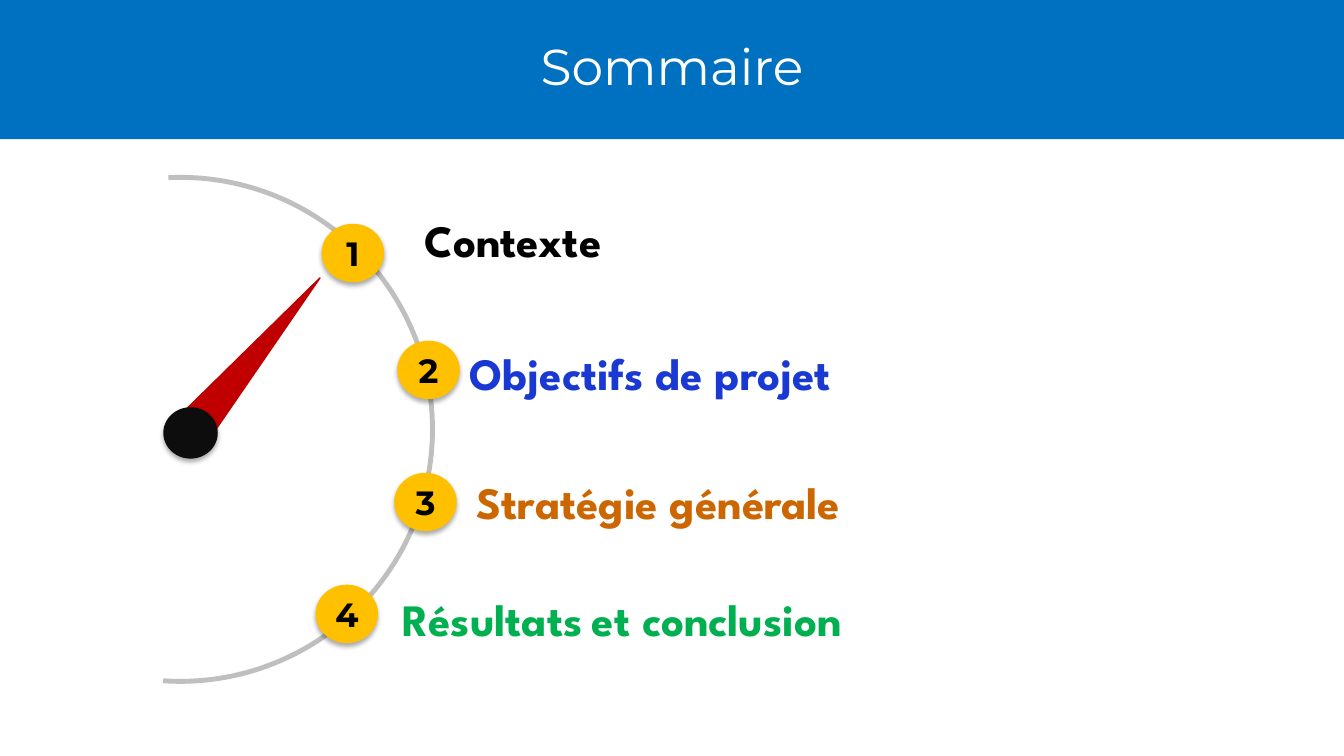
from lxml.etree import SubElement
from pptx import Presentation
from pptx.dml.color import RGBColor
from pptx.enum.shapes import MSO_SHAPE
from pptx.enum.text import MSO_ANCHOR, MSO_AUTO_SIZE, PP_ALIGN
from pptx.oxml.ns import qn
from pptx.util import Inches, Pt

WIDTH, HEIGHT = 13.33, 7.5
HEADING_FONT, LABEL_FONT = "Montserrat", "League Spartan"
BEAD_WIDTH, BEAD_HEIGHT = 0.62, 0.58

# Bead centre from the dial centre, label corner from the bead centre, runs
TOPICS = [
    ((1.71, -1.75), (0.61, -0.45), [("Contexte", 32, "000000")]),
    ((2.46, -0.59), (0.31, -0.29), [("Objectifs de projet", 32, "1A39D2")]),
    ((2.43, 0.72), (0.41, -0.32), [("Stratégie générale", 32, "CC6600")]),
    ((1.65, 1.83), (0.45, -0.27), [("Résultats", 32, "00B050"),
                                   (" ", 24, "000000"),
                                   ("et conclusion", 32, "00B050")]),
]
LABEL_WIDTHS = [2.16, 4.22, 4.24, 5.24]


def color(hex_value):
    return RGBColor.from_string(hex_value)


def add_filled(slide, kind, left, top, width, height, fill):
    shape = slide.shapes.add_shape(
        kind, Inches(left), Inches(top), Inches(width), Inches(height))
    shape.shadow.inherit = False
    shape.fill.solid()
    shape.fill.fore_color.rgb = color(fill)
    shape.line.fill.background()
    return shape


def add_run(paragraph, text, size, hex_value, font, bold=False):
    run = paragraph.add_run()
    run.text = text
    run.font.name = font
    run.font.size = Pt(size)
    run.font.bold = bold
    run.font.color.rgb = color(hex_value)


def add_centred_text(shape, text, size, hex_value, bold=False):
    shape.text_frame.vertical_anchor = MSO_ANCHOR.MIDDLE
    paragraph = shape.text_frame.paragraphs[0]
    paragraph.alignment = PP_ALIGN.CENTER
    add_run(paragraph, text, size, hex_value, HEADING_FONT, bold)
    return paragraph


def add_disc(slide, center_x, center_y, width, height, fill):
    """Ellipse around a centre, with a soft shadow below it."""
    disc = add_filled(slide, MSO_SHAPE.OVAL, center_x - width / 2,
                      center_y - height / 2, width, height, fill)
    effects = disc.element.spPr.find(qn("a:effectLst"))
    shadow = SubElement(effects, qn("a:outerShdw"), blurRad=str(Pt(3.5)),
                        dist=str(Pt(2.2)), dir="5400000", rotWithShape="0")
    black = SubElement(shadow, qn("a:srgbClr"), val="000000")
    SubElement(black, qn("a:alpha"), val="32000")
    return disc


def add_header(slide, left, top, width, height):
    band = add_filled(slide, MSO_SHAPE.RECTANGLE, left, top, width, height, "0070C0")
    add_centred_text(band, "Sommaire", 36, "FFFFFF").line_spacing = 0.9


def add_dial(slide, left, top, diameter):
    center_x, center_y = left + diameter / 2, top + diameter / 2

    # Needle and hub
    needle = add_filled(slide, MSO_SHAPE.ISOSCELES_TRIANGLE, center_x + 0.54,
                        center_y - 1.74, 0.39, 2.02, "C00000")
    needle.line.color.rgb = color("C00000")
    needle.line.width = Pt(1)
    needle.rotation = 40
    add_disc(slide, center_x + 0.1, center_y + 0.035, 0.54, 0.51, "0D0D0D")

    # Half circle; angles are stored in units of 5/3 degree
    arc = slide.shapes.add_shape(MSO_SHAPE.ARC, Inches(left), Inches(top),
                                 Inches(diameter), Inches(diameter))
    arc.shadow.inherit = False
    arc.fill.background()
    arc.line.color.rgb = color("BFBFBF")
    arc.line.width = Pt(3.5)
    for index, degrees in enumerate((267.27, 93.92)):
        arc.adjustments[index] = degrees * 0.6

    # Numbered beads with their labels
    for number, (topic, width) in enumerate(zip(TOPICS, LABEL_WIDTHS), 1):
        (bead_x, bead_y), (label_x, label_y), runs = topic
        bead_x, bead_y = center_x + bead_x, center_y + bead_y
        bead = add_disc(slide, bead_x, bead_y, BEAD_WIDTH, BEAD_HEIGHT, "FFC000")
        add_centred_text(bead, str(number), 24, "000000", bold=True)
        add_label(slide, bead_x + label_x, bead_y + label_y, width, runs)


def add_label(slide, left, top, width, runs):
    label = slide.shapes.add_textbox(
        Inches(left), Inches(top), Inches(width), Inches(0.64))
    label.text_frame.word_wrap = False
    label.text_frame.auto_size = MSO_AUTO_SIZE.SHAPE_TO_FIT_TEXT
    paragraph = label.text_frame.paragraphs[0]
    for text, size, hex_value in runs:
        add_run(paragraph, text, size, hex_value, LABEL_FONT, bold=True)


def main():
    presentation = Presentation()
    presentation.slide_width = Inches(WIDTH)
    presentation.slide_height = Inches(HEIGHT)
    slide = presentation.slides.add_slide(presentation.slide_layouts[6])
    add_dial(slide, -0.71, 1.76, 5)
    add_header(slide, 0, 0, WIDTH, 1.38)
    presentation.save("out.pptx")


if __name__ == "__main__":
    main()
